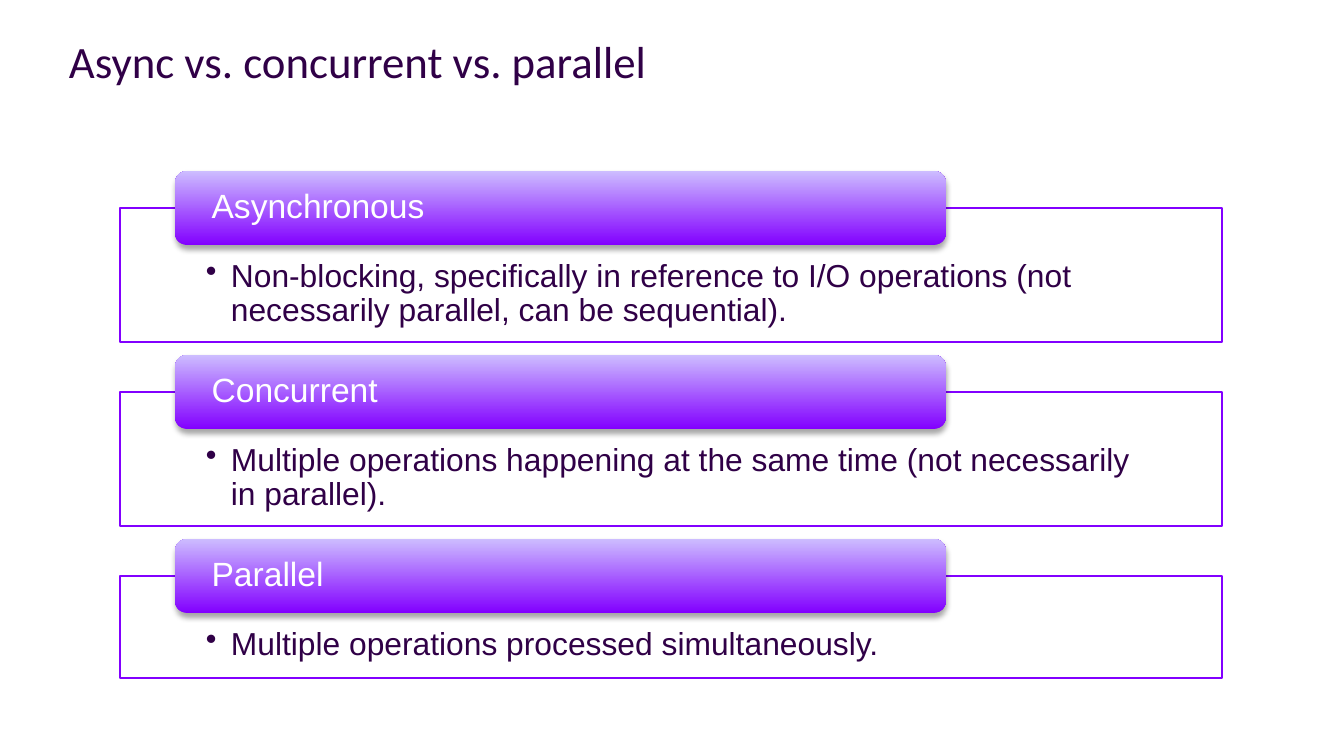
from lxml.etree import SubElement
from pptx import Presentation
from pptx.dml.color import RGBColor
from pptx.enum.shapes import MSO_SHAPE as Preset
from pptx.enum.text import MSO_ANCHOR as Anchor, MSO_AUTO_SIZE as AutoSize, PP_ALIGN as Align
from pptx.oxml.ns import qn
from pptx.util import Pt

EMU_PER_PX = 9144000 / 1344
SLIDE_SIZE = (1344, 756)

INK = RGBColor(0x30, 0x00, 0x47)
VIOLET = RGBColor(0x82, 0x00, 0xFF)
LILAC = RGBColor(0xCD, 0xBD, 0xFF)
WHITE = RGBColor(0xFF, 0xFF, 0xFF)

PANEL_LEFT, PANEL_TOP, PANEL_WIDTH = 120, 208, 1102
PANEL_GAP = 50
HEADER_LEFT, HEADER_WIDTH, HEADER_HEIGHT = 175, 771, 74

TERMS = [
    ("Asynchronous", "Non-blocking, specifically in reference to I/O operations "
     "(not necessarily parallel, can be sequential).", 134),
    ("Concurrent", "Multiple operations happening at the same time "
     "(not necessarily in parallel).", 134),
    ("Parallel", "Multiple operations processed simultaneously.", 102),
]


def px(length):
    return round(length * EMU_PER_PX)


def write(shape, text, *, size, color, font="Arial", insets=(0, 0, 0, 0),
          anchor=Anchor.TOP, indent=0, bullet=None, spacing=None):
    """Fill a shape with one left-aligned paragraph; insets run left, top, right, bottom."""
    frame = shape.text_frame
    frame.word_wrap = True
    frame.auto_size = AutoSize.NONE
    frame.vertical_anchor = anchor
    (frame.margin_left, frame.margin_top,
     frame.margin_right, frame.margin_bottom) = map(px, insets)
    paragraph = frame.paragraphs[0]
    paragraph.text = text
    paragraph.alignment = Align.LEFT
    if spacing:
        paragraph.line_spacing = spacing
    properties = paragraph._p.get_or_add_pPr()
    properties.set("marL", str(px(indent)))
    properties.set("indent", str(px(-indent if bullet else 0)))
    if bullet:
        SubElement(properties, qn("a:buChar"), char=bullet)
    run_font = paragraph.runs[0].font
    run_font.name = font
    run_font.size = Pt(size)
    run_font.color.rgb = color


def add_box(slide, preset, left, top, width, height):
    box = slide.shapes.add_shape(preset, px(left), px(top), px(width), px(height))
    box.shadow.inherit = False
    return box


def add_soft_shadow(shape):
    effects = shape._element.spPr.find(qn("a:effectLst"))
    shadow = SubElement(effects, qn("a:outerShdw"), blurRad=str(Pt(3.1)),
                        dist=str(Pt(1.8)), dir="5400000", rotWithShape="0")
    black = SubElement(shadow, qn("a:srgbClr"), val="000000")
    SubElement(black, qn("a:alpha"), val="35000")


def add_panel(slide, top, height, description):
    panel = add_box(slide, Preset.RECTANGLE, PANEL_LEFT, top, PANEL_WIDTH, height)
    panel.fill.solid()
    panel.fill.fore_color.rgb = WHITE
    fill_color = panel._element.spPr.find(qn("a:solidFill"))[0]
    SubElement(fill_color, qn("a:alpha"), val="90000")
    panel.line.color.rgb = VIOLET
    panel.line.width = Pt(0.75)
    write(panel, description, size=17, color=INK, insets=(86, 52, 86, 17),
          indent=25, bullet="•", spacing=0.9)


def add_header(slide, top, term):
    header = add_box(slide, Preset.ROUNDED_RECTANGLE, HEADER_LEFT, top,
                     HEADER_WIDTH, HEADER_HEIGHT)
    header.fill.gradient()
    header.fill.gradient_angle = 90
    for stop, color, position in zip(header.fill.gradient_stops, (VIOLET, LILAC), (0, 1)):
        stop.color.rgb = color
        stop.position = position
    header.line.fill.background()
    add_soft_shadow(header)
    write(header, term, size=18, color=WHITE, insets=(33, 0, 33, 0),
          anchor=Anchor.MIDDLE, spacing=0.9)


def add_title(slide, text):
    title = slide.shapes.title
    title.left, title.top, title.width, title.height = map(px, (35, 34, 1129, 126))
    write(title, text, size=24, color=INK, font="Calibri", indent=34)


def main():
    deck = Presentation()
    deck.slide_width, deck.slide_height = map(px, SLIDE_SIZE)
    slide = deck.slides.add_slide(deck.slide_layouts[5])
    add_title(slide, "Async vs. concurrent vs. parallel")
    top = PANEL_TOP
    for term, description, height in TERMS:
        add_panel(slide, top, height, description)
        add_header(slide, top - HEADER_HEIGHT // 2, term)
        top += height + PANEL_GAP
    deck.save("out.pptx")


if __name__ == "__main__":
    main()
